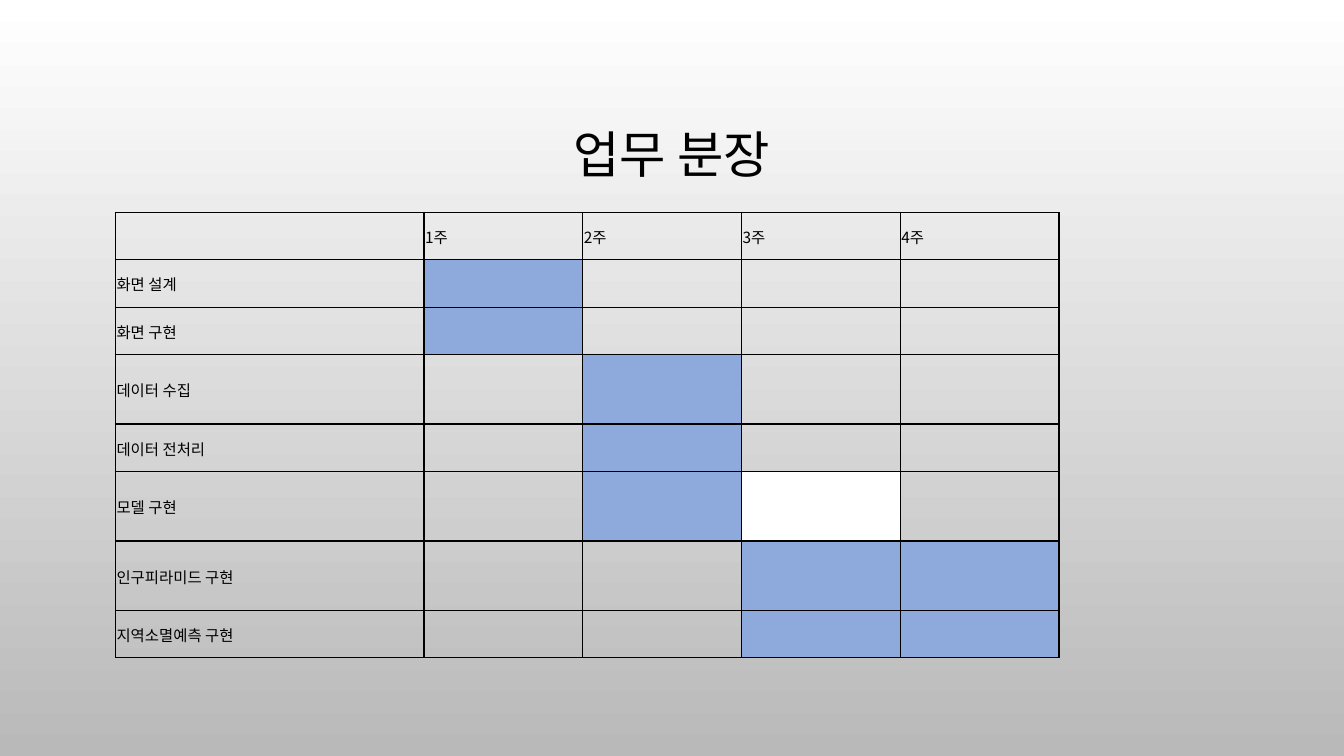
from dataclasses import dataclass

from lxml import etree
from pptx import Presentation
from pptx.dml.color import RGBColor
from pptx.enum import text
from pptx.oxml import ns
from pptx.table import _Cell
from pptx.text.text import TextFrame
from pptx.util import Pt

BLACK = RGBColor(0x00, 0x00, 0x00)
WHITE = RGBColor(0xFF, 0xFF, 0xFF)
GREY = RGBColor(0xB9, 0xB9, 0xB9)
BLUE = RGBColor(0x8E, 0xA9, 0xDB)
KOREAN_FONT = "Noto Sans CJK KR"
LOW, TALL = 33.84, 49.68
TASK_WIDTH, WEEK_WIDTH = 220.4, 113.4
WEEKS = 4


@dataclass(frozen=True)
class Task:
    name: str
    weeks: tuple[int, ...]
    height: float = LOW
    blank: tuple[int, ...] = ()

    def color(self, week: int) -> RGBColor | None:
        if week in self.weeks:
            return BLUE
        return WHITE if week in self.blank else None


TASKS = [
    Task("화면 설계", (1,)),
    Task("화면 구현", (1,)),
    Task("데이터 수집", (2,), TALL),
    Task("데이터 전처리", (2,)),
    Task("모델 구현", (2,), TALL, blank=(3,)),
    Task("인구피라미드 구현", (3, 4), TALL),
    Task("지역소멸예측 구현", (3, 4)),
]


def write(tf: TextFrame, words: str, *, size: float, font: str = KOREAN_FONT,
          align: text.PP_ALIGN = text.PP_ALIGN.LEFT, spacing: float = 1.0) -> None:
    tf.vertical_anchor = text.MSO_ANCHOR.MIDDLE
    p = tf.paragraphs[0]
    p.alignment = align
    p.line_spacing = spacing
    r = p.add_run()
    r.text = words
    r.font.size = Pt(size)
    r.font.name = font
    r.font.color.rgb = BLACK
    ea = etree.SubElement(r.font._element, ns.qn("a:ea"))
    ea.set("typeface", KOREAN_FONT)


def format_cell(cell: _Cell, color: RGBColor | None = None) -> None:
    cell.margin_left = cell.margin_right = cell.margin_top = Pt(0.75)
    cell.margin_bottom = Pt(0)
    cell.vertical_anchor = text.MSO_ANCHOR.MIDDLE
    if color is None:
        cell.fill.background()
    else:
        cell.fill.solid()
        cell.fill.fore_color.rgb = color
    props = cell._tc.get_or_add_tcPr()
    for i, side in enumerate(("lnL", "lnR", "lnT", "lnB")):
        line = etree.Element(ns.qn(f"a:{side}"), w=str(Pt(1)))
        fill = etree.SubElement(line, ns.qn("a:solidFill"))
        etree.SubElement(fill, ns.qn("a:srgbClr"), val=str(BLACK))
        props.insert(i, line)


def main() -> None:
    prs = Presentation()
    prs.slide_width, prs.slide_height = Pt(960), Pt(540)
    s = prs.slides.add_slide(prs.slide_layouts.get_by_name("Title Only"))

    background = s.background.fill
    background.gradient()
    background.gradient_angle = 270
    for stop, color in zip(background.gradient_stops, (WHITE, GREY)):
        stop.color.rgb = color

    title = s.shapes.title
    title.left, title.top, title.width, title.height = Pt(72), Pt(49), Pt(816), Pt(126)
    write(title.text_frame, "업무 분장", size=36, font="Calibri",
          align=text.PP_ALIGN.CENTER, spacing=0.9)

    heights = [LOW] + [task.height for task in TASKS]
    widths = [TASK_WIDTH] + [WEEK_WIDTH] * WEEKS
    schedule = s.shapes.add_table(len(heights), len(widths), Pt(82.5), Pt(151.8),
                                  Pt(sum(widths)), Pt(sum(heights))).table
    for row, height in zip(schedule.rows, heights):
        row.height = Pt(height)
    for column, width in zip(schedule.columns, widths):
        column.width = Pt(width)

    format_cell(schedule.cell(0, 0))
    for week in range(1, WEEKS + 1):
        cell = schedule.cell(0, week)
        format_cell(cell)
        write(cell.text_frame, f"{week}주", size=11)
    for row, task in enumerate(TASKS, start=1):
        cell = schedule.cell(row, 0)
        format_cell(cell)
        write(cell.text_frame, task.name, size=11)
        for week in range(1, WEEKS + 1):
            format_cell(schedule.cell(row, week), task.color(week))

    prs.save("out.pptx")


if __name__ == "__main__":
    main()
